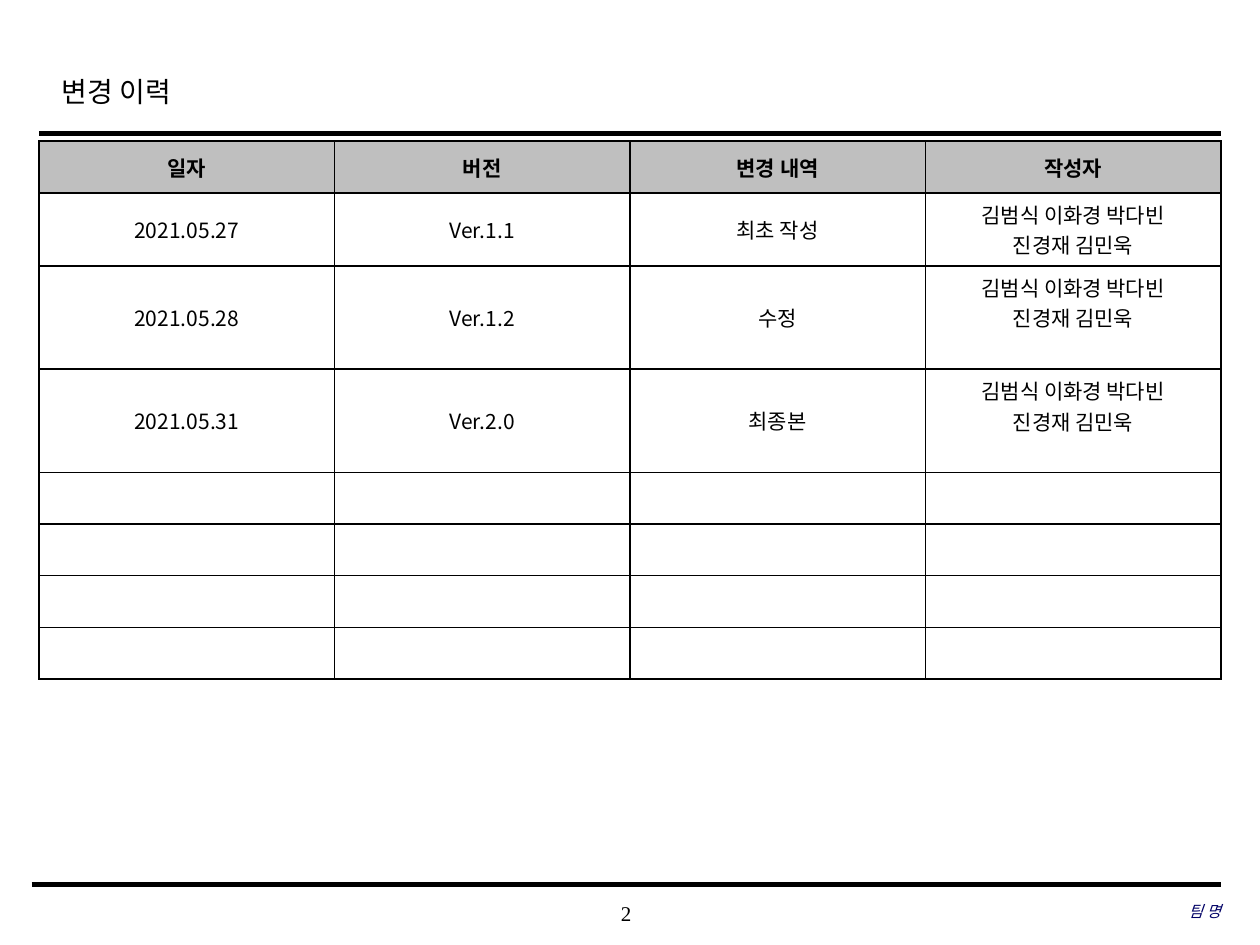
"""Build the change history slide with its version table."""
from dataclasses import dataclass

from lxml.etree import SubElement
from pptx import Presentation
from pptx.dml.color import RGBColor
from pptx.enum.shapes import MSO_CONNECTOR
from pptx.enum.text import MSO_ANCHOR, PP_ALIGN
from pptx.oxml.ns import qn
from pptx.util import Inches, Pt

HANGUL, LATIN = "Noto Sans CJK KR", "Times New Roman"
BLACK, WHITE, GREY, NAVY = "000000", "FFFFFF", "BFBFBF", "000066"
LEFT, RIGHT, TABLE_TOP = 0.31, 9.69, 1.12
ROW, LINE, PADDING = 0.41, 0.24, 0.05
AUTHORS = "김범식 이화경 박다빈\n진경재 김민욱"
HEADINGS = ("일자", "버전", "변경 내역", "작성자")


@dataclass(frozen=True)
class Revision:
    """One row of the history; spare_lines is room left under the authors."""
    date: str = ""
    version: str = ""
    change: str = ""
    authors: str = ""
    spare_lines: int = 0

    @property
    def height(self) -> float:
        """Return the row height in inches."""
        lines = len(self.authors.splitlines()) + self.spare_lines
        return max(ROW, lines * LINE + 2 * PADDING)


@dataclass(frozen=True)
class Rule:
    """A horizontal rule across the slide."""
    left: float
    top: float
    weight: float


@dataclass(frozen=True)
class Footer:
    """A text in the footer band."""
    text: str
    left: float
    top: float
    width: float
    size: float
    align: PP_ALIGN
    color: str = BLACK
    italic: bool = False


REVISIONS = (
    Revision("2021.05.27", "Ver.1.1", "최초 작성", AUTHORS),
    Revision("2021.05.28", "Ver.1.2", "수정", AUTHORS, 1),
    Revision("2021.05.31", "Ver.2.0", "최종본", AUTHORS, 1),
    *[Revision()] * 4,
)
RULES = (Rule(LEFT, 1.06, 2.5), Rule(0.25, 7.02, 3))
FOOTERS = (
    Footer("2", 3.93, 7.08, 2.08, 12, PP_ALIGN.CENTER),
    Footer("팀 명", 6.63, 7.07, 3.06, 9, PP_ALIGN.RIGHT, NAVY, True),
)


def rgb(value: str) -> RGBColor:
    """Turn a hex string into a colour."""
    return RGBColor.from_string(value)


def write(frame, text: str, *, size: float, font: str = LATIN, color: str = BLACK,
          align=PP_ALIGN.LEFT, bold=False, italic=False, spacing=None) -> None:
    """Fill a text frame, one paragraph for each line of text."""
    frame.word_wrap = True
    frame.text = text
    for paragraph in frame.paragraphs:
        paragraph.alignment = align
        paragraph.line_spacing = spacing
        for run in paragraph.runs:
            run.font.size, run.font.name = Pt(size), font
            run.font.bold, run.font.italic = bold, italic
            run.font.color.rgb = rgb(color)
            SubElement(run.font._element, qn("a:ea"), typeface=HANGUL)
        if not paragraph.runs:
            SubElement(paragraph._p, qn("a:endParaRPr"), sz=str(size * 100))


def draw_rule(slide, rule: Rule) -> None:
    """Draw a black rule that ends at the right margin."""
    line = slide.shapes.add_connector(
        MSO_CONNECTOR.STRAIGHT, Inches(rule.left), Inches(rule.top),
        Inches(RIGHT), Inches(rule.top))
    line.line.color.rgb = rgb(BLACK)
    line.line.width = Pt(rule.weight)
    SubElement(line._element.spPr, qn("a:effectLst"))


def draw_footer(slide, footer: Footer) -> None:
    """Place a footer text without insets."""
    frame = slide.shapes.add_textbox(
        Inches(footer.left), Inches(footer.top),
        Inches(footer.width), Inches(0.33)).text_frame
    frame.margin_left = frame.margin_right = frame.margin_top = frame.margin_bottom = 0
    frame.vertical_anchor = MSO_ANCHOR.MIDDLE
    write(frame, footer.text, size=footer.size, color=footer.color,
          align=footer.align, italic=footer.italic)


def format_cell(cell, text: str, *, fill: str = WHITE, bold=False) -> None:
    """Write a centred cell with thin black borders."""
    for side in ("lnL", "lnR", "lnT", "lnB"):
        border = SubElement(cell._tc.get_or_add_tcPr(), qn(f"a:{side}"), w=str(Pt(1)))
        SubElement(SubElement(border, qn("a:solidFill")), qn("a:srgbClr"), val=BLACK)
    cell.fill.solid()
    cell.fill.fore_color.rgb = rgb(fill)
    cell.vertical_anchor = MSO_ANCHOR.MIDDLE
    write(cell.text_frame, text, size=12, font=HANGUL, align=PP_ALIGN.CENTER, bold=bold)


def draw_history(slide) -> None:
    """Draw the table of revisions under its header row."""
    heights = [ROW, *(revision.height for revision in REVISIONS)]
    history = slide.shapes.add_table(
        len(heights), len(HEADINGS), Inches(LEFT), Inches(TABLE_TOP),
        Inches(RIGHT - LEFT), Inches(sum(heights))).table
    history.first_row = history.horz_banding = False
    for row, height in zip(history.rows, heights):
        row.height = Inches(height)
    for column, heading in enumerate(HEADINGS):
        format_cell(history.cell(0, column), heading, fill=GREY, bold=True)
    for row, revision in enumerate(REVISIONS, start=1):
        entries = (revision.date, revision.version, revision.change, revision.authors)
        for column, entry in enumerate(entries):
            format_cell(history.cell(row, column), entry)
        history.cell(row, len(HEADINGS) - 1).margin_bottom = Inches(
            PADDING + revision.spare_lines * LINE)


def main() -> None:
    """Build and save the slide."""
    deck = Presentation()
    deck.slide_width, deck.slide_height = Inches(10), Inches(7.5)
    slide = deck.slides.add_slide(deck.slide_layouts[5])
    title = slide.shapes.title
    title.left, title.top = Inches(0.39), Inches(0.49)
    title.width, title.height = Inches(7.55), Inches(0.5)
    title.text_frame.vertical_anchor = MSO_ANCHOR.TOP
    write(title.text_frame, "변경 이력", size=16, spacing=1.2)
    for rule in RULES:
        draw_rule(slide, rule)
    for footer in FOOTERS:
        draw_footer(slide, footer)
    draw_history(slide)
    deck.save("out.pptx")


if __name__ == "__main__":
    main()
